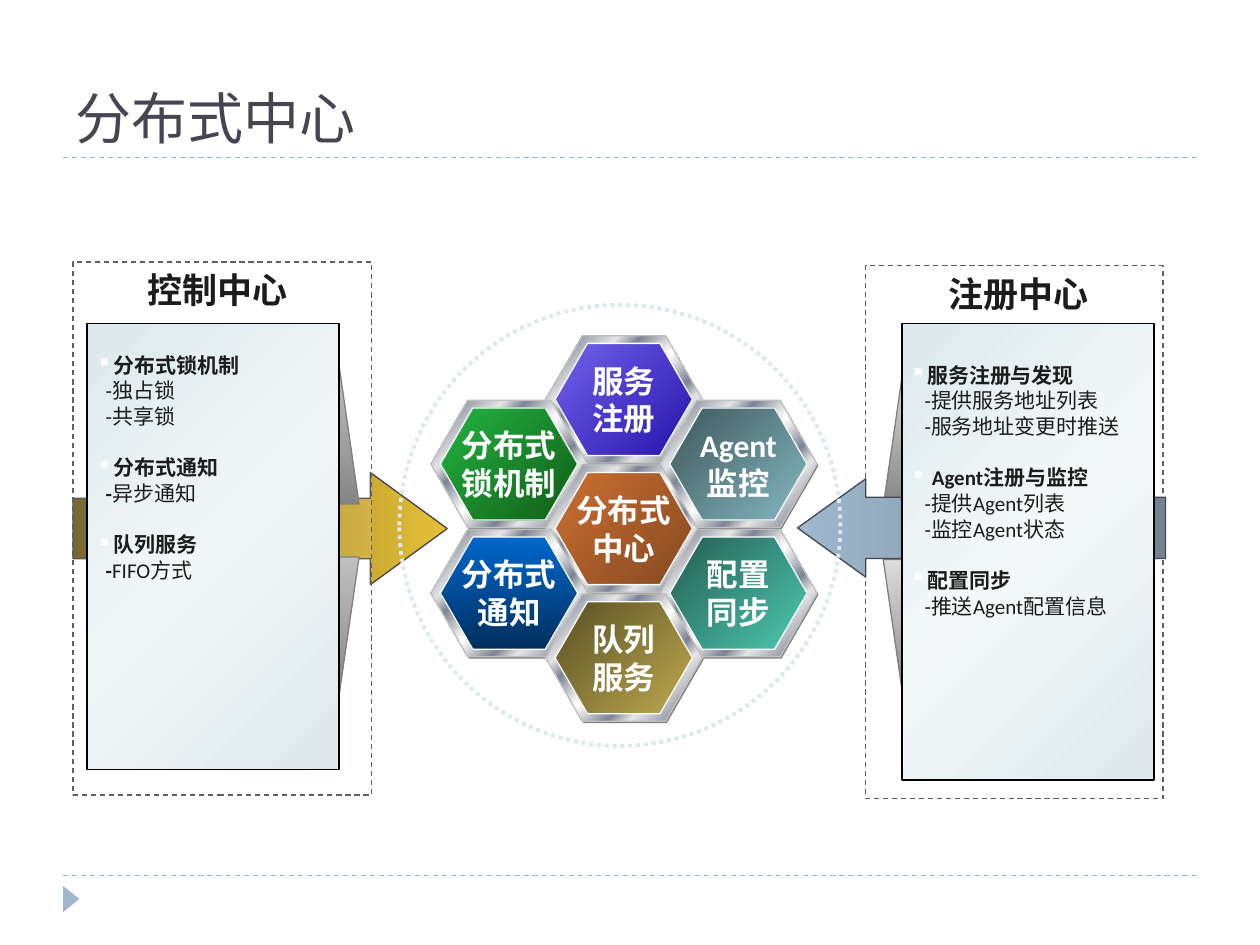
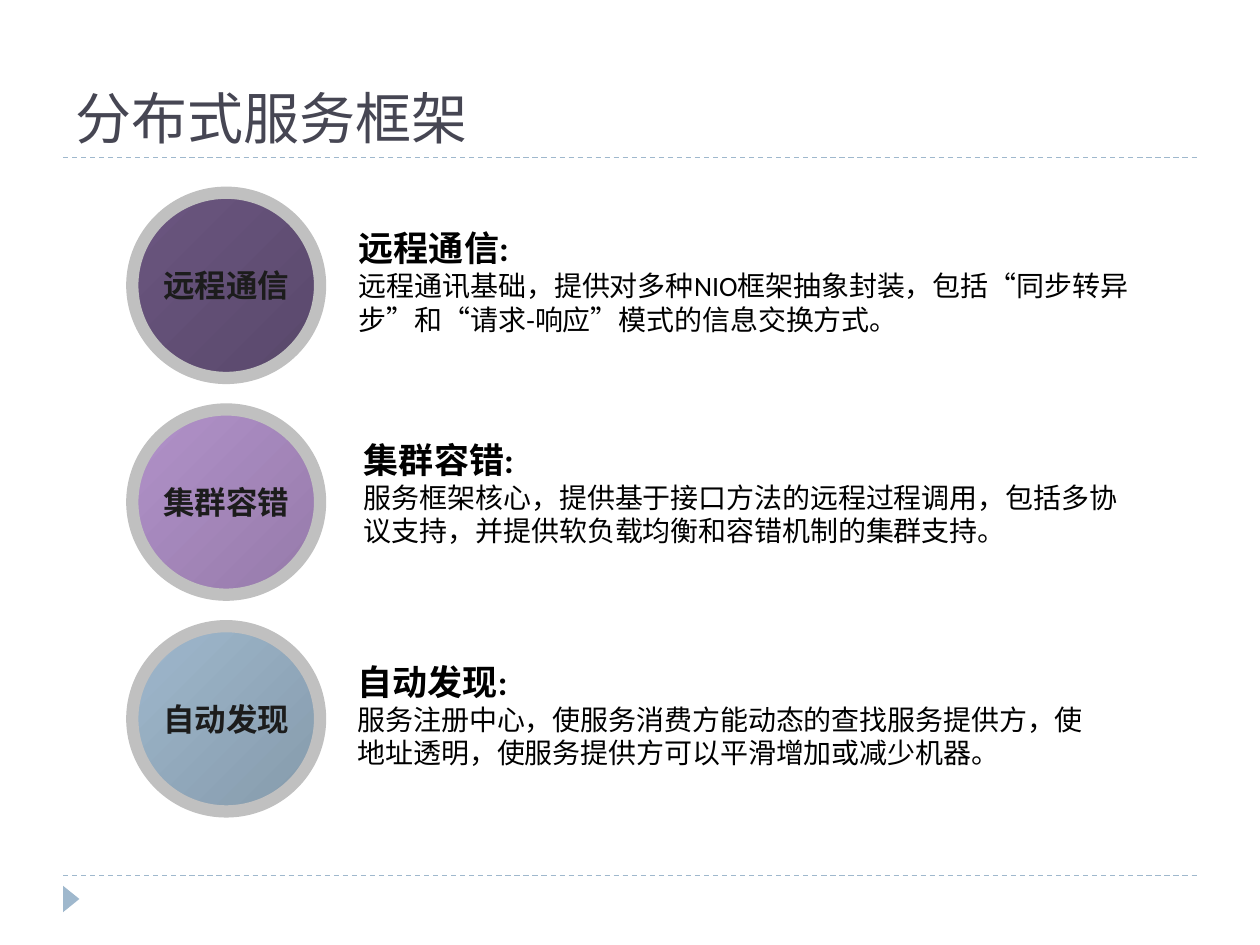
from dataclasses import dataclass
from typing import NamedTuple

import lxml.etree
import pptx
import pptx.dml.color
import pptx.enum.dml
import pptx.enum.lang
import pptx.enum.shapes
import pptx.enum.text
import pptx.oxml
import pptx.oxml.ns
import pptx.util

qn = pptx.oxml.ns.qn
SHAPE = pptx.enum.shapes.MSO_SHAPE
DASH = pptx.enum.dml.MSO_LINE
ALIGN = pptx.enum.text.PP_ALIGN
ANCHOR = pptx.enum.text.MSO_ANCHOR

COLORS = {
    "paper": "FFFFFF", "accent": "9FB8CD", "title": "464653", "ink": "1C1C1C",
    "black": "000000", "panel line": "5F5F5F", "wedge line": "808080",
    "ring": "DDE9EC", "shade": "808080", "silver": "C0C0C0",
}
BODY_FONT, TITLE_FONT = "Calibri", "Roboto Slab"
CELL = 0.1  # the grid has 100 columns and 75 rows, each a tenth of an inch
COLUMNS, ROWS = 100, 75

Stops = list[tuple[int, str]]
METAL: Stops = [(0, "E6E6E6"), (8, "7D8496"), (26, "E6E6E6"), (34, "7D8496"),
                (46, "E6E6E6"), (50, "FFFFFF"), (54, "E6E6E6"), (66, "7D8496"),
                (74, "E6E6E6"), (92, "7D8496"), (100, "E6E6E6")]


class Box(NamedTuple):
    col: float
    row: float
    cols: float
    rows: float


class Gradient(NamedTuple):
    stops: Stops
    angle: int = 45


class Topic(NamedTuple):
    heading: str
    items: list[str]
    bold_dash: bool = False


@dataclass
class Center:
    """A side panel with its arrow, wedges and list of topics."""
    name: str
    panel: Box
    heading: Box
    board: Box
    board_mid: str
    arrow: Box
    arrow_adj: tuple[float, float]
    arrow_stops: Stops
    flipped: bool
    wedge_cols: tuple[float, float, float, float]
    wedge_rows: list[tuple[float, float]]
    wedge_stops: Stops
    topics_box: Box
    item_indent: float
    topics: list[Topic]


class Cell(NamedTuple):
    across: int      # hexagon columns from the middle
    down: float      # hexagon rows from the middle
    lines: tuple[str, str]
    fill: Gradient


class Feature(NamedTuple):
    name: str
    circle_fill: Gradient
    text_box: Box
    description: str


CENTERS = [
    Center("控制中心", Box(5.8, 20.8, 23.7, 42.3), Box(8.1, 20.8, 18.3, 4.3),
           Box(6.9, 25.7, 20, 35.4), "F1F6F7",
           Box(5.8, 37.5, 29.7, 8.9), (0.54, 0.686), [(0, "6A5919"), (100, "E5C037")], False,
           (26.9, 28.5, 10.6, 9.1), [(28.9, 40), (55.3, 44.2)], [(0, "C0C0C0"), (100, "868686")],
           Box(6.7, 27.4, 20.1, 20.8), 0.07,
           [Topic("分布式锁机制", ["独占锁", "共享锁"]),
            Topic("分布式通知", ["异步通知"], True),
            Topic("队列服务", ["FIFO方式"], True)]),
    Center("注册中心", Box(68.7, 21.1, 23.6, 42.3), Box(71.7, 21.1, 18.3, 4.3),
           Box(71.6, 25.7, 20, 36.2), "F4F8F9",
           Box(63.3, 38, 29.2, 7.8), (0.622, 0.694), [(0, "728493"), (100, "9FB8CD")], True,
           (71.7, 70.1, 88.3, 90), [(29.2, 40.2), (55.5, 44.4)], [(0, "DDDDDD"), (100, "848484")],
           Box(71.3, 28.2, 20.6, 22.6), 0.11,
           [Topic("服务注册与发现", ["提供服务地址列表", "服务地址变更时推送"]),
            Topic(" Agent注册与监控", ["提供Agent列表", "监控Agent状态"]),
            Topic("配置同步", ["推送Agent配置信息"])]),
]

HIVE = [
    Cell(0, -1, ("服务", "注册"), Gradient([(0, "7262EC"), (100, "2614AA")])),
    Cell(-1, -0.5, ("分布式", "锁机制"), Gradient([(0, "24B443"), (100, "115D16")])),
    Cell(0, 0, ("分布式", "中心"), Gradient([(0, "CC7032"), (100, "844820")])),
    Cell(1, -0.5, ("Agent", "监控"), Gradient([(0, "3E565A"), (100, "85B9C3")])),
    Cell(1, 0.5, ("配置", "同步"), Gradient([(0, "245D52"), (100, "4DC9B1")])),
    Cell(-1, 0.5, ("分布式", "通知"), Gradient([(0, "0066CC"), (100, "002F5E")], 90)),
    Cell(0, 1, ("队列", "服务"), Gradient([(0, "584F25"), (100, "BFAA4F")])),
]

FEATURES = [
    Feature("远程通信", Gradient([(0, "6B5680"), (100, "59486B")]), Box(27.5, 17.5, 64.2, 9.7),
            "远程通讯基础，提供对多种NIO框架抽象封装，包括“同步转异步”和“请求-响应”模式的信息交换方式。"),
    Feature("集群容错", Gradient([(0, "B292CA"), (100, "957AA9")]), Box(27.9, 34.3, 62.8, 9.7),
            "服务框架核心，提供基于接口方法的远程过程调用，包括多协议支持，并提供软负载均衡和容错机制的集群支持。"),
    Feature("自动发现", Gradient([(0, "9FB8CD"), (100, "859AAB")]), Box(27.4, 51.9, 60.3, 9.7),
            "服务注册中心，使服务消费方能动态的查找服务提供方，使地址透明，使服务提供方可以平滑增加或减少机器。"),
]


def grid(cells: float) -> int:
    return pptx.util.Inches(cells * CELL)


def rgb(name: str) -> pptx.dml.color.RGBColor:
    return pptx.dml.color.RGBColor.from_string(COLORS[name])


def fill_gradient(shape, gradient: Gradient) -> None:
    shape.fill.background()
    no_fill = shape.element.spPr.find(qn("a:noFill"))
    stops = "".join(f'<a:gs pos="{pos * 1000}"><a:srgbClr val="{color}"/></a:gs>'
                    for pos, color in gradient.stops)
    no_fill.getparent().replace(no_fill, pptx.oxml.parse_xml(
        '<a:gradFill xmlns:a="http://schemas.openxmlformats.org/drawingml/2006/main" '
        f'rotWithShape="1"><a:gsLst>{stops}</a:gsLst>'
        f'<a:lin ang="{gradient.angle * 60000}" scaled="0"/></a:gradFill>'))


def style(shape, fill: Gradient | str | None, line: str | None = None,
          width: float = 0.75, dash=None) -> None:
    shape.shadow.inherit = False
    if isinstance(fill, Gradient):
        fill_gradient(shape, fill)
    elif fill:
        shape.fill.solid()
        shape.fill.fore_color.rgb = rgb(fill)
    else:
        shape.fill.background()
    if line is None:
        shape.line.fill.background()
        return
    shape.line.color.rgb = rgb(line)
    shape.line.width = pptx.util.Pt(width)
    if dash:
        shape.line.dash_style = dash


def add_shape(slide, kind, box: Box, fill, line=None, width=0.75, dash=None):
    shape = slide.shapes.add_shape(kind, *map(grid, box))
    style(shape, fill, line, width, dash)
    return shape


def add_run(paragraph, text: str, size: float, color: str, bold=False, font=BODY_FONT) -> None:
    run = paragraph.add_run()
    run.text = text
    run.font.name, run.font.size, run.font.bold = font, pptx.util.Pt(size), bold
    run.font.color.rgb = rgb(color)
    run.font.language_id = pptx.enum.lang.MSO_LANGUAGE_ID.SIMPLIFIED_CHINESE


def add_text(slide, box: Box):
    frame = slide.shapes.add_textbox(*map(grid, box)).text_frame
    frame.word_wrap = True
    return frame


def next_paragraph(frame, first: bool):
    return frame.paragraphs[0] if first else frame.add_paragraph()


def label(shape, lines: tuple[str, ...], color: str) -> None:
    frame = shape.text_frame
    frame.word_wrap = False
    frame.vertical_anchor = ANCHOR.MIDDLE
    frame.margin_left = frame.margin_right = frame.margin_top = frame.margin_bottom = 0
    for index, line in enumerate(lines):
        paragraph = next_paragraph(frame, index == 0)
        paragraph.alignment = ALIGN.CENTER
        add_run(paragraph, line, 18, color, bold=True)


def start_slide(deck, title: str):
    slide = deck.slides.add_slide(deck.slide_layouts[5])
    # Dashed rules and the corner marker
    for row in (69.5, 12.5):
        rule = slide.shapes.add_connector(pptx.enum.shapes.MSO_CONNECTOR.STRAIGHT,
                                          grid(5), grid(row), grid(95), grid(row))
        rule.line.color.rgb = rgb("accent")
        rule.line.width = pptx.util.Pt(0.75)
        rule.line.dash_style = DASH.DASH
        lxml.etree.SubElement(rule.element.spPr, qn("a:effectLst"))
    marker = add_shape(slide, SHAPE.ISOSCELES_TRIANGLE, Box(4.6, 70.7, 2.1, 1.3), "accent")
    marker.rotation = 90
    # Title
    heading = slide.shapes.title
    heading.left, heading.top, heading.width, heading.height = map(grid, Box(5, 1.7, 90, 10.8))
    frame = heading.text_frame
    frame.auto_size = pptx.enum.text.MSO_AUTO_SIZE.NONE
    frame.vertical_anchor = ANCHOR.BOTTOM
    frame.paragraphs[0].alignment = ALIGN.LEFT
    add_run(frame.paragraphs[0], title, 32, "title", font=TITLE_FONT)
    return slide


def draw_arrow(slide, center: Center) -> None:
    arrow = add_shape(slide, SHAPE.RIGHT_ARROW, center.arrow,
                      Gradient(center.arrow_stops, 0), "title")
    arrow.adjustments[0], arrow.adjustments[1] = center.arrow_adj
    if center.flipped:
        arrow.element.spPr.find(qn("a:xfrm")).set("flipH", "1")


def draw_topics(slide, center: Center) -> None:
    frame = add_text(slide, center.topics_box)

    def topic_line(first: bool, margin: float, indent: float):
        paragraph = next_paragraph(frame, first)
        paragraph.line_spacing = pptx.util.Pt(14.75)
        properties = paragraph._p.get_or_add_pPr()
        properties.set("marL", str(pptx.util.Inches(margin)))
        properties.set("indent", str(pptx.util.Inches(indent)))
        return paragraph, properties

    for index, topic in enumerate(center.topics):
        paragraph, properties = topic_line(index == 0, 0.13, -0.13)
        if index:
            paragraph.space_before = pptx.util.Pt(14.4)
        bullet_color = lxml.etree.SubElement(properties, qn("a:buClr"))
        lxml.etree.SubElement(bullet_color, qn("a:srgbClr")).set("val", COLORS["paper"])
        lxml.etree.SubElement(properties, qn("a:buChar")).set("char", "▪")
        add_run(paragraph, topic.heading, 12, "ink", bold=True)
        for item in topic.items:
            paragraph, _ = topic_line(False, center.item_indent, 0)
            add_run(paragraph, "-", 12, "ink", bold=topic.bold_dash)
            add_run(paragraph, item, 12, "ink")


def draw_center(slide, center: Center) -> None:
    if not center.flipped:
        draw_arrow(slide, center)
    # See-through panel
    panel = add_shape(slide, SHAPE.RECTANGLE, center.panel, "paper", "panel line", dash=DASH.DASH)
    tint = panel.element.spPr.find(qn("a:solidFill")).find(qn("a:srgbClr"))
    lxml.etree.SubElement(tint, qn("a:alpha")).set("val", "10000")
    # Wedges behind the board
    for far, near in center.wedge_rows:
        start, *rest = [(grid(col), grid(row))
                        for col, row in zip(center.wedge_cols, (far, near, near, far))]
        builder = slide.shapes.build_freeform(*start)
        builder.add_line_segments(rest, close=True)
        style(builder.convert_to_shape(), Gradient(center.wedge_stops, 90), "wedge line")
    if center.flipped:
        draw_arrow(slide, center)
    # Board, heading and topics
    add_shape(slide, SHAPE.RECTANGLE, center.board,
              Gradient([(0, "DDE9EC"), (50, center.board_mid), (100, "DDE9EC")]), "black")
    heading = add_text(slide, center.heading).paragraphs[0]
    heading.alignment = ALIGN.CENTER
    add_run(heading, center.name, 20, "ink", bold=True)
    draw_topics(slide, center)


def draw_hive(slide) -> None:
    add_shape(slide, SHAPE.OVAL, Box(31.7, 24.2, 35, 35), None, "ring", 2.25, DASH.ROUND_DOT)
    for cell in HIVE:
        col, row = 43.3 + 9.1 * cell.across, 36.9 + 10.25 * cell.down
        layers = [(Box(col + 0.1, row + 0.15, 12.45, 10.1), "shade", None),
                  (Box(col, row, 12.45, 10.1), Gradient(METAL), "silver"),
                  (Box(col + 0.75, row + 0.6, 10.9, 8.9), cell.fill, "paper")]
        for box, fill, line in layers:
            face = add_shape(slide, SHAPE.HEXAGON, box, fill, line)
            face.adjustments[0] = 0.289
        label(face, cell.lines, "paper")


def draw_feature(slide, index: int, feature: Feature) -> None:
    frame = add_text(slide, feature.text_box)
    add_run(frame.paragraphs[0], feature.name + ":", 20, "black", bold=True)
    add_run(frame.add_paragraph(), feature.description, 16, "black")
    circle = add_shape(slide, SHAPE.FLOWCHART_CONNECTOR,
                       Box(10.5, 15.3 + 17.2 * index, 14.9, 14.7),
                       feature.circle_fill, "silver", 7)
    label(circle, (feature.name,), "ink")


def main() -> None:
    deck = pptx.Presentation()
    deck.slide_width, deck.slide_height = grid(COLUMNS), grid(ROWS)

    centers_slide = start_slide(deck, "分布式中心")
    for center in CENTERS:
        draw_center(centers_slide, center)
    draw_hive(centers_slide)

    framework_slide = start_slide(deck, "分布式服务框架")
    for index, feature in enumerate(FEATURES):
        draw_feature(framework_slide, index, feature)

    deck.save("out.pptx")


if __name__ == "__main__":
    main()
